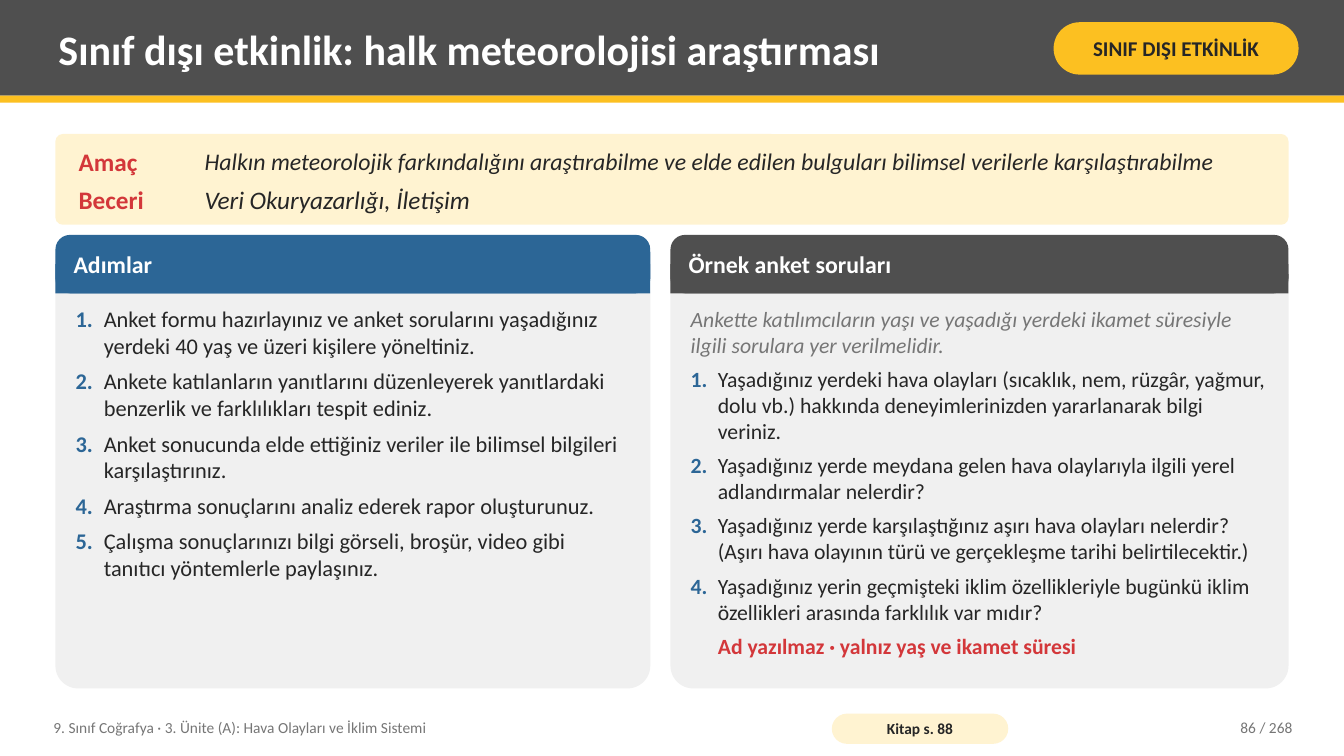
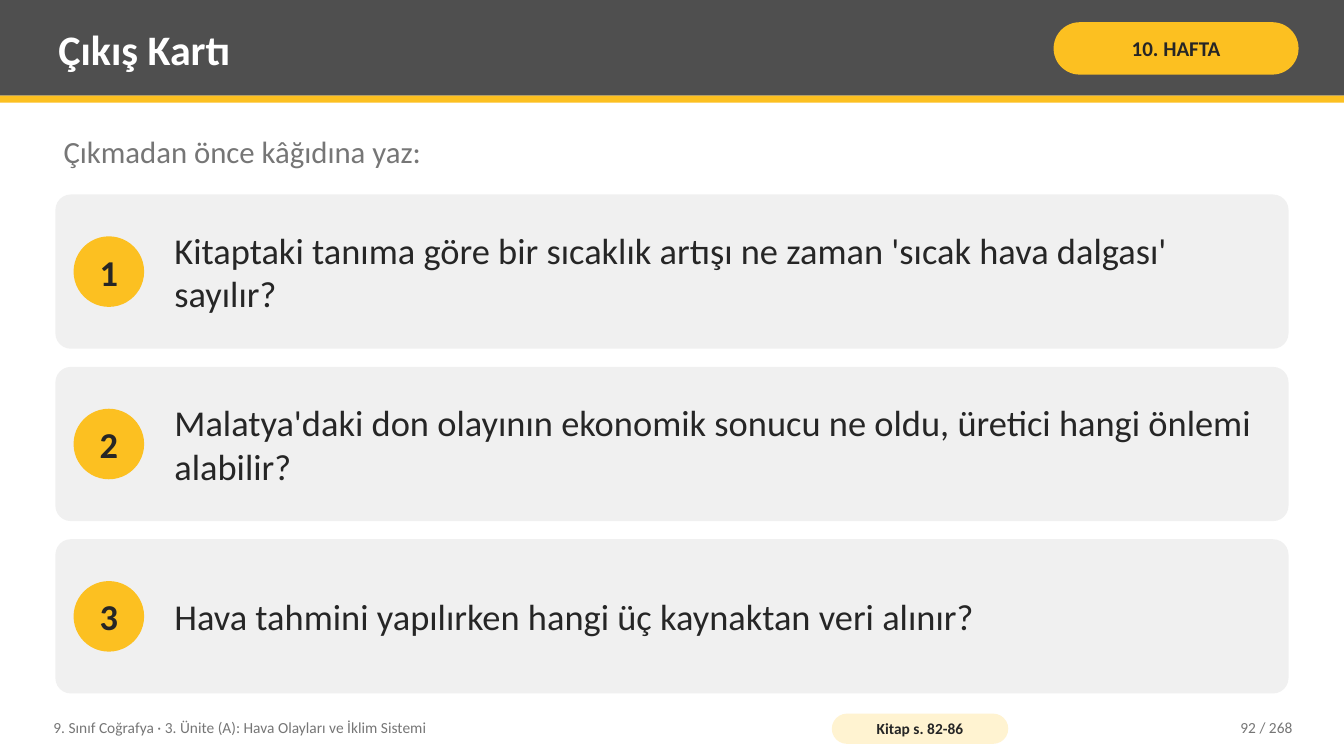
import pptx
import pptx.util
import pptx.dml.color
import pptx.enum.shapes
import pptx.enum.text
import pptx.oxml.ns
import lxml.etree

Inches = pptx.util.Inches
Pt = pptx.util.Pt
KIND = pptx.enum.shapes.MSO_SHAPE
ALIGN = pptx.enum.text.PP_ALIGN
ANCHOR = pptx.enum.text.MSO_ANCHOR

FONT = "Calibri"
HUES = {
    "dark": "4F4F4F",
    "gold": "FCC021",
    "cream": "FFF3D1",
    "pale": "F0F0F0",
    "blue": "2C6696",
    "red": "D3373A",
    "ink": "262626",
    "gray": "767676",
    "white": "FFFFFF",
}
WIDE, HIGH = 13.33, 7.5
LEFT, SPAN = 0.55, 12.23
INSET = (0.08, 0.04)
UNIT = "9. Sınıf Coğrafya · 3. Ünite (A): Hava Olayları ve İklim Sistemi"
TOTAL = 268

GOALS = [
    ("Amaç", "Halkın meteorolojik farkındalığını araştırabilme ve elde edilen "
             "bulguları bilimsel verilerle karşılaştırabilme", 1.39, 0.42, 17),
    ("Beceri", "Veri Okuryazarlığı, İletişim", 1.78, 0.39, 18),
]
STEPS = [
    "Anket formu hazırlayınız ve anket sorularını yaşadığınız yerdeki 40 yaş ve üzeri kişilere yöneltiniz.",
    "Ankete katılanların yanıtlarını düzenleyerek yanıtlardaki benzerlik ve farklılıkları tespit ediniz.",
    "Anket sonucunda elde ettiğiniz veriler ile bilimsel bilgileri karşılaştırınız.",
    "Araştırma sonuçlarını analiz ederek rapor oluşturunuz.",
    "Çalışma sonuçlarınızı bilgi görseli, broşür, video gibi tanıtıcı yöntemlerle paylaşınız.",
]
INTRO = "Ankette katılımcıların yaşı ve yaşadığı yerdeki ikamet süresiyle ilgili sorulara yer verilmelidir."
ASKS = [
    "Yaşadığınız yerdeki hava olayları (sıcaklık, nem, rüzgâr, yağmur, dolu vb.) hakkında "
    "deneyimlerinizden yararlanarak bilgi veriniz.",
    "Yaşadığınız yerde meydana gelen hava olaylarıyla ilgili yerel adlandırmalar nelerdir?",
    "Yaşadığınız yerde karşılaştığınız aşırı hava olayları nelerdir? "
    "(Aşırı hava olayının türü ve gerçekleşme tarihi belirtilecektir.)",
    "Yaşadığınız yerin geçmişteki iklim özellikleriyle bugünkü iklim özellikleri arasında farklılık var mıdır?",
]
CAUTION = "Ad yazılmaz · yalnız yaş ve ikamet süresi"
CARDS = [
    "Kitaptaki tanıma göre bir sıcaklık artışı ne zaman 'sıcak hava dalgası' sayılır?",
    "Malatya'daki don olayının ekonomik sonucu ne oldu, üretici hangi önlemi alabilir?",
    "Hava tahmini yapılırken hangi üç kaynaktan veri alınır?",
]


def add_run(para, text, size, hue, bold=False, slant=False):
    run = para.add_run()
    run.text = text
    font = run.font
    font.name = FONT
    font.size = Pt(size)
    font.bold = bold
    font.italic = slant
    font.color.rgb = pptx.dml.color.RGBColor.from_string(HUES[hue])


def set_frame(shape, inset=INSET, anchor=ANCHOR.MIDDLE, wrap=True):
    frame = shape.text_frame
    frame.auto_size = pptx.enum.text.MSO_AUTO_SIZE.NONE
    frame.word_wrap = wrap
    frame.vertical_anchor = anchor
    frame.margin_left = frame.margin_right = Inches(inset[0])
    frame.margin_top = frame.margin_bottom = Inches(inset[1])
    return frame


def write(shape, text, size, hue, bold=False, slant=False, align=ALIGN.LEFT, **look):
    para = set_frame(shape, **look).paragraphs[0]
    para.alignment = align
    add_run(para, text, size, hue, bold, slant)


def draw(slide, box, hue, kind=KIND.RECTANGLE, curve=None):
    shape = slide.shapes.add_shape(kind, *map(Inches, box))
    shape.shadow.inherit = False
    shape.fill.solid()
    shape.fill.fore_color.rgb = pptx.dml.color.RGBColor.from_string(HUES[hue])
    shape.line.fill.background()
    if curve is not None:
        shape.adjustments[0] = curve
    return shape


def round_box(slide, box, hue, curve):
    return draw(slide, box, hue, KIND.ROUNDED_RECTANGLE, curve)


def label(slide, box, text, size, hue, **look):
    write(slide.shapes.add_textbox(*map(Inches, box)), text, size, hue, **look)


def place(slide, shape, box):
    shape.left, shape.top, shape.width, shape.height = map(Inches, box)
    slide.shapes.element.append(shape.element)
    return shape


def format_para(para, after=0, margin=0, indent=0):
    props = para._p.get_or_add_pPr()
    props.set("marL", str(Inches(margin)))
    props.set("indent", str(Inches(indent)))
    lxml.etree.SubElement(props, pptx.oxml.ns.qn("a:buNone"))
    para.space_before = Pt(0)
    para.space_after = Pt(after)


def add_head(slide, title, tag):
    draw(slide, (0, 0, WIDE, 0.95), "dark")
    draw(slide, (0, 0.95, WIDE, 0.07), "gold")
    name = place(slide, slide.shapes.title, (0.5, 0.07, 9.75, 0.82))
    write(name, title, 30, "white", bold=True)
    badge = round_box(slide, (10.45, 0.22, 2.43, 0.52), "gold", 0.5)
    write(badge, tag, 15, "ink", bold=True, align=ALIGN.CENTER, inset=(0.05, 0.02))


def add_foot(slide, pages, number):
    label(slide, (0.45, 7.04, 7.6, 0.36), UNIT, 11, "gray")
    badge = round_box(slide, (8.25, 7.08, 1.75, 0.3), "cream", 0.5)
    write(badge, f"Kitap s. {pages}", 11, "ink", bold=True, align=ALIGN.CENTER, inset=(0.04, 0))
    label(slide, (11.3, 7.04, 1.6, 0.36), f"{number} / {TOTAL}", 11, "gray", align=ALIGN.RIGHT)


def add_goals(slide, box):
    round_box(slide, box, "cream", 0.08)
    left = box[0] + 0.15
    for name, text, top, high, size in GOALS:
        label(slide, (left, top, 1.25, high), name, 18, "red", bold=True)
        label(slide, (left + 1.25, top, 10.63, high), text, size, "ink", slant=True)


def add_panel(slide, body, box, hue, title, items, size, after, indent, intro=None, end=None):
    left, top, wide, high = box
    bar = 0.58
    round_box(slide, box, "pale", 0.05)
    round_box(slide, (left, top, wide, bar), hue, 0.25)
    draw(slide, (left, top + bar / 2, wide, bar / 2), hue)
    label(slide, (left + 0.1, top, wide - 0.2, bar), title, 17, "white", bold=True)
    place(slide, body, (left + 0.12, top + bar + 0.08, wide - 0.24, high - bar - 0.16))
    frame = set_frame(body, anchor=ANCHOR.TOP)
    count = len(items) + bool(intro) + bool(end)
    paras = [frame.paragraphs[0]] + [frame.add_paragraph() for _ in range(count - 1)]
    rest = iter(paras)
    if intro:
        para = next(rest)
        format_para(para, after)
        add_run(para, intro, size, "gray", slant=True)
    for index, item in enumerate(items, 1):
        para = next(rest)
        format_para(para, 0 if para is paras[-1] else after, indent, -indent)
        add_run(para, f"{index}.\t", size, "blue", bold=True)
        add_run(para, item, size, "ink")
    if end:
        para = next(rest)
        format_para(para, 0, indent)
        add_run(para, end, size, "red", bold=True)


def add_card(slide, box, number, text):
    left, top, wide, high = box
    disc = 0.7
    round_box(slide, box, "pale", 0.1)
    dot = draw(slide, (left + 0.18, top + (high - disc) / 2, disc, disc), "gold", KIND.OVAL)
    write(dot, str(number), 26, "ink", bold=True, align=ALIGN.CENTER, inset=(0, 0), wrap=False)
    label(slide, (left + 1.1, top, wide - 1.3, high), text, 26, "ink")


def build_survey(deck):
    slide = deck.slides.add_slide(deck.slide_layouts[3])
    first, second = list(slide.placeholders)[1:]
    add_head(slide, "Sınıf dışı etkinlik: halk meteorolojisi araştırması", "SINIF DIŞI ETKİNLİK")
    add_goals(slide, (LEFT, 1.33, SPAN, 0.9))
    add_panel(slide, first, (LEFT, 2.33, 5.9, 4.5), "blue", "Adımlar", STEPS, 16, 6, 0.28)
    add_panel(slide, second, (6.65, 2.33, 6.13, 4.5), "dark", "Örnek anket soruları",
              ASKS, 15.5, 5.8, 0.27, INTRO, CAUTION)
    add_foot(slide, "88", 86)


def build_exit(deck):
    slide = deck.slides.add_slide(deck.slide_layouts[1])
    body = slide.placeholders[1]
    add_head(slide, "Çıkış Kartı", "10. HAFTA")
    place(slide, body, (LEFT, 1.28, SPAN, 0.55))
    format_para(body.text_frame.paragraphs[0])
    write(body, "Çıkmadan önce kâğıdına yaz:", 22, "gray", anchor=ANCHOR.TOP)
    high, gap = 1.53, 0.18
    for index, text in enumerate(CARDS):
        add_card(slide, (LEFT, 1.93 + index * (high + gap), SPAN, high), index + 1, text)
    add_foot(slide, "82-86", 92)


def main():
    deck = pptx.Presentation()
    deck.slide_width = Inches(WIDE)
    deck.slide_height = Inches(HIGH)
    build_survey(deck)
    build_exit(deck)
    deck.save("out.pptx")


if __name__ == "__main__":
    main()
